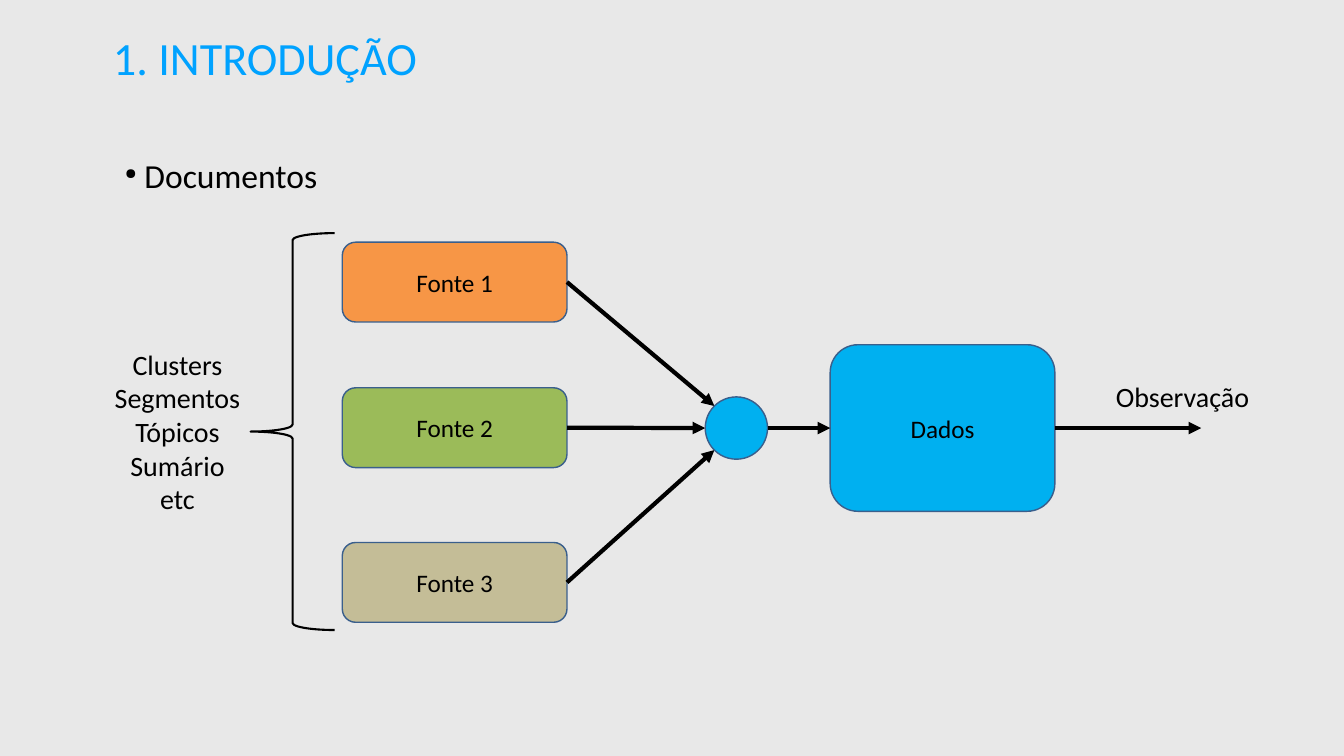
from lxml import etree
from pptx import Presentation
from pptx import util as u
from pptx.dml.color import RGBColor
from pptx.enum import shapes, text
from pptx.oxml.ns import qn

Pt = u.Pt
COLORS = {
    "background": "E8E8E8", "title": "00A2FF", "ink": "000000", "outline": "3A5F8C",
    "data": "00B0F0", "orange": "F79646", "green": "9BBB59", "sand": "C4BD97",
}
FONT = "Calibri"
TITLE = "1. INTRODUÇÃO"
TOPIC = "Documentos"
SOURCES = [("Fonte 1", "orange", 346), ("Fonte 2", "green", 554), ("Fonte 3", "sand", 775)]
SOURCE_LEFT, BOX_WIDTH, SOURCE_HEIGHT = 489, 321, 114
DATA = ("Dados", 1186, 492.5, 238)
OBSERVATION = "Observação"
GROUPINGS = ["Clusters", "Segmentos", "Tópicos", "Sumário", "etc"]
MIDDLE, MIX_CENTER, MIX_RADIUS = 611.5, 1052, 44.5


def rgb(name):
    return RGBColor.from_string(COLORS[name])


def write(frame, lines, size, color="ink", align=text.PP_ALIGN.CENTER,
          anchor=text.MSO_ANCHOR.TOP, inset=None):
    frame.word_wrap = True
    frame.auto_size = text.MSO_AUTO_SIZE.NONE
    frame.vertical_anchor = anchor
    if inset is not None:
        frame.margin_left = frame.margin_right = Pt(inset)
        frame.margin_top = frame.margin_bottom = Pt(inset)
    frame.text = "\n".join(lines)
    for paragraph in frame.paragraphs:
        paragraph.alignment = align
        if lines == [TOPIC]:
            paragraph.line_spacing = 1.5
            add_bullet(paragraph)
        paragraph.font.name = FONT
        paragraph.font.size = Pt(size)
        paragraph.font.color.rgb = rgb(color)


def add_bullet(paragraph):
    props = paragraph._p.get_or_add_pPr()
    props.set("marL", str(Pt(45)))
    props.set("indent", str(Pt(-28)))
    tint = etree.SubElement(props, qn("a:buClr"))
    etree.SubElement(tint, qn("a:srgbClr"), val=COLORS["ink"])
    etree.SubElement(props, qn("a:buSzPct"), val="45000")
    etree.SubElement(props, qn("a:buChar"), char="●")


def add_block(slide, kind, box, fill, label=None):
    block = slide.shapes.add_shape(kind, *map(Pt, box))
    block.shadow.inherit = False
    block.fill.solid()
    block.fill.fore_color.rgb = rgb(fill)
    block.line.color.rgb = rgb("outline")
    block.line.width = Pt(2)
    if label:
        write(block.text_frame, [label], 36, anchor=text.MSO_ANCHOR.MIDDLE)


def add_arrow(slide, start, end):
    arrow = slide.shapes.add_connector(shapes.MSO_CONNECTOR.STRAIGHT, *map(Pt, start + end))
    arrow.line.color.rgb = rgb("ink")
    arrow.line.width = Pt(6)
    etree.SubElement(arrow.line._get_or_add_ln(), qn("a:tailEnd"), type="triangle")
    etree.SubElement(arrow._element.spPr, qn("a:effectLst"))


def add_label(slide, box, lines, size, **style):
    write(slide.shapes.add_textbox(*map(Pt, box)).text_frame, lines, size, **style)


def main():
    deck = Presentation()
    deck.slide_width, deck.slide_height = Pt(1920), Pt(1080)
    slide = deck.slides.add_slide(deck.slide_layouts[5])
    slide.background.fill.solid()
    slide.background.fill.fore_color.rgb = rgb("background")

    title = slide.shapes.title
    title.left, title.top, title.width, title.height = map(Pt, (157, 38, 1124, 87))
    write(title.text_frame, [TITLE], 66, "title", text.PP_ALIGN.LEFT,
          text.MSO_ANCHOR.MIDDLE, 4.3)
    add_label(slide, (157, 188, 1124, 152), [TOPIC], 48, align=text.PP_ALIGN.LEFT, inset=4.3)

    rounded = shapes.MSO_SHAPE.ROUNDED_RECTANGLE
    label, data_left, data_top, data_height = DATA
    add_block(slide, rounded, (data_left, data_top, BOX_WIDTH, data_height), "data", label)

    diagonal = round(MIX_RADIUS * 0.5 ** 0.5, 2)
    source_right = SOURCE_LEFT + BOX_WIDTH
    for side, (label, fill, top) in zip((-1, 0, 1), SOURCES):
        add_block(slide, rounded, (SOURCE_LEFT, top, BOX_WIDTH, SOURCE_HEIGHT), fill, label)
        reach = diagonal if side else MIX_RADIUS
        add_arrow(slide, (source_right, top + SOURCE_HEIGHT / 2),
                  (MIX_CENTER - reach, MIDDLE + side * diagonal))

    add_block(slide, shapes.MSO_SHAPE.OVAL,
              (MIX_CENTER - MIX_RADIUS, MIDDLE - MIX_RADIUS, 2 * MIX_RADIUS, 2 * MIX_RADIUS),
              "data")
    add_arrow(slide, (MIX_CENTER + MIX_RADIUS, MIDDLE), (data_left, MIDDLE))
    add_arrow(slide, (data_left + BOX_WIDTH, MIDDLE), (1716, MIDDLE))
    add_label(slide, (1587, 539, 257, 55), [OBSERVATION], 40, align=text.PP_ALIGN.LEFT)

    brace = slide.shapes.add_shape(shapes.MSO_SHAPE.LEFT_BRACE, *map(Pt, (358, 333, 120, 567)))
    brace.shadow.inherit = False
    brace.fill.background()
    brace.line.color.rgb = rgb("ink")
    brace.line.width = Pt(3)
    add_label(slide, (40, 492.5, 427, 250), GROUPINGS, 40)

    deck.save("out.pptx")


if __name__ == "__main__":
    main()
